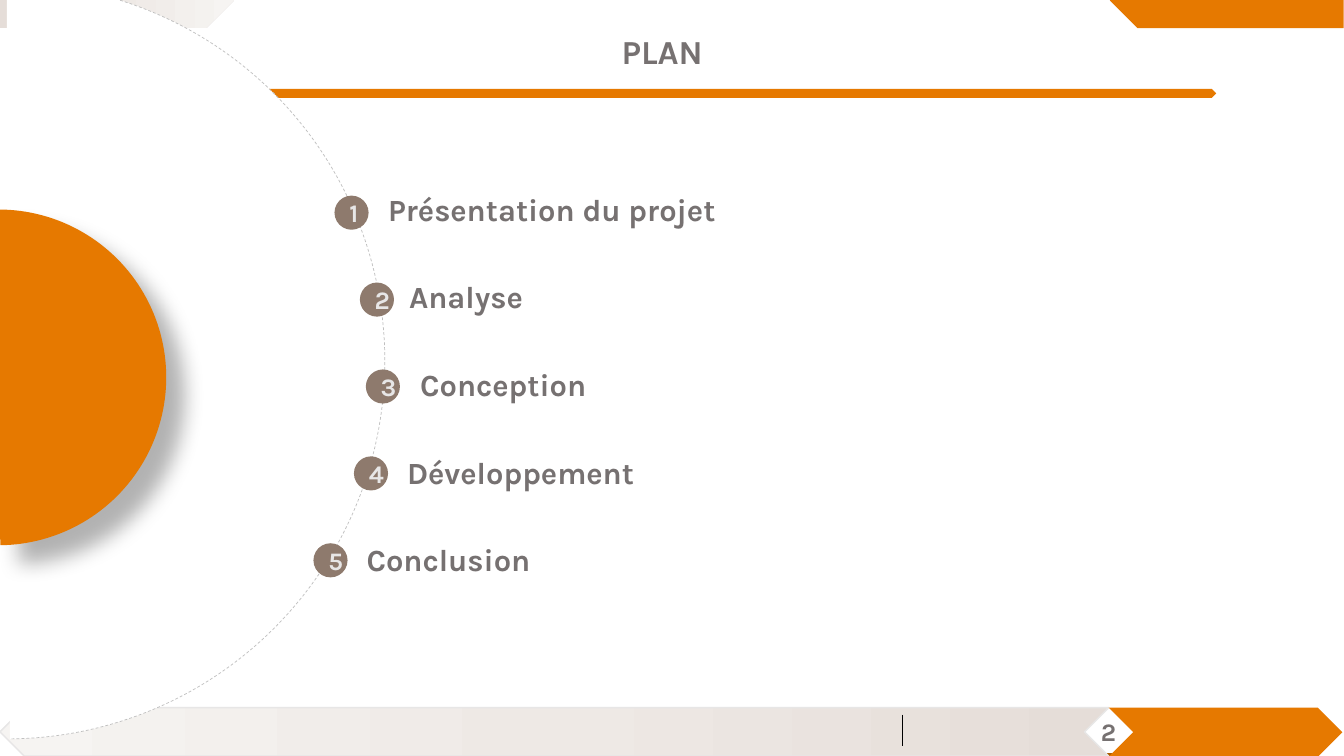
from copy import deepcopy

from lxml.etree import SubElement
from pptx import Presentation
from pptx.dml.color import RGBColor
from pptx.enum.dml import MSO_LINE
from pptx.enum.shapes import MSO_CONNECTOR, MSO_SHAPE
from pptx.enum.text import MSO_ANCHOR, MSO_AUTO_SIZE, PP_ALIGN
from pptx.oxml.ns import qn
from pptx.util import Cm, Pt

WHITE = RGBColor(0xFF, 0xFF, 0xFF)
BLACK = RGBColor(0x00, 0x00, 0x00)
ORANGE = RGBColor(0xE6, 0x79, 0x00)
BROWN = RGBColor(0xAC, 0x5B, 0x00)
TAUPE = RGBColor(0x8E, 0x7A, 0x6D)
GREY = RGBColor(0x76, 0x71, 0x71)
PALE = RGBColor(0xE7, 0xE6, 0xE6)
DASH_GREY = RGBColor(0xBF, 0xBF, 0xBF)
SAND = [RGBColor(0xE5, 0xDD, 0xD8), RGBColor(0xEE, 0xE9, 0xE5), RGBColor(0xF6, 0xF4, 0xF2)]
ROSE = [RGBColor(0xDB, 0xA5, 0x92), RGBColor(0xE7, 0xC8, 0xBE), RGBColor(0xF2, 0xE4, 0xDF)]


def add_shape(kind, place, fill, line=None, width=1, rotation=0, angle=0):
    shape = page.shapes.add_shape(kind, *[Cm(length) for length in place])
    shape.shadow.inherit = False
    shape.rotation = rotation
    if isinstance(fill, list):
        shape.fill.gradient()
        shape.fill.gradient_angle = angle
        first = shape.fill._fill._gradFill.gsLst[0]
        first.addnext(deepcopy(first))
        for stop, color, position in zip(shape.fill.gradient_stops, fill, (0, 0.5, 1)):
            stop.color.rgb = color
            stop.position = position
    else:
        shape.fill.solid()
        shape.fill.fore_color.rgb = fill
    if line is None:
        shape.line.fill.background()
    else:
        shape.line.color.rgb = line
        shape.line.width = Pt(width)
    return shape


def write(box, text, size, color, align, frame_format):
    for name, value in {"word_wrap": True, **frame_format}.items():
        setattr(box.text_frame, name, value)
    para = box.text_frame.paragraphs[0]
    para.alignment = align
    span = para.add_run()
    span.text = text
    for name, value in {"name": "Karla", "size": Pt(size), "bold": True}.items():
        setattr(span.font, name, value)
    span.font.color.rgb = color


GROWING = {"auto_size": MSO_AUTO_SIZE.SHAPE_TO_FIT_TEXT, "vertical_anchor": MSO_ANCHOR.TOP}
CENTRED = {"vertical_anchor": MSO_ANCHOR.MIDDLE}

deck = Presentation()
deck.slide_width = Cm(33.87)
deck.slide_height = Cm(19.05)
page = deck.slides.add_slide(deck.slide_layouts[6])

add_shape(MSO_SHAPE.RECTANGLE, (4.24, 0, 25.4, 4.37), WHITE, WHITE)
add_shape(MSO_SHAPE.PENTAGON, (0, -0.69, 5.89, 1.4), SAND)
add_shape(MSO_SHAPE.CHEVRON, (18.54, 18.06, 13.79, 0.99), BROWN, rotation=180)
add_shape(MSO_SHAPE.CHEVRON, (3.48, 18.06, 12.04, 0.99), ROSE, angle=180)
add_shape(MSO_SHAPE.PENTAGON, (3.73, 2.24, 26.92, 0.23), ORANGE)

page_number = add_shape(MSO_SHAPE.RECTANGLE, (27.18, 17.93, 1.35, 1.02), WHITE, WHITE, 0.5)
write(page_number, " 2", 18, GREY, PP_ALIGN.CENTER, GROWING)

add_shape(MSO_SHAPE.CHEVRON, (0, 17.83, 27.94, 1.22), SAND, PALE, rotation=180)
add_shape(MSO_SHAPE.CHEVRON, (27.94, 17.83, 5.89, 1.24), ORANGE)

divider = page.shapes.add_connector(
    MSO_CONNECTOR.STRAIGHT, Cm(22.73), Cm(18.01), Cm(22.73), Cm(18.8))
divider.line.color.rgb = BLACK
divider.line.width = Pt(0.5)
SubElement(divider._element.spPr, qn("a:effectLst"))

title = page.shapes.add_textbox(Cm(12.32), Cm(0.66), Cm(8.74), Cm(1.27))
write(title, "PLAN", 24, GREY, PP_ALIGN.CENTER, GROWING)
add_shape(MSO_SHAPE.PENTAGON, (27.97, -0.69, 5.89, 1.4), ORANGE, rotation=180)

ring = add_shape(MSO_SHAPE.ARC, (-9.35, -0.43, 19.05, 19.05), WHITE, DASH_GREY, 0.5)
ring.line.dash_style = MSO_LINE.DASH
disc = add_shape(MSO_SHAPE.ARC, (-4.27, 5.28, 8.46, 8.46), ORANGE)
for arc, end in ((ring, 53.71), (disc, 53.6)):
    arc.adjustments[0] = 162
    arc.adjustments[1] = end

effects = disc._element.spPr.find(qn("a:effectLst"))
shadow = SubElement(effects, qn("a:outerShdw"), blurRad=str(Pt(15)), dist=str(Pt(18)),
                    dir="2700000", algn="tl", rotWithShape="0")
shade = SubElement(shadow, qn("a:srgbClr"), val=str(BLACK))
SubElement(shade, qn("a:alpha"), val="30000")

chapters = [
    ("Présentation du projet", 8.43, 9.53, 16.13),
    ("Analyse", 9.07, 10.06, 16.13),
    ("Conception", 9.22, 10.34, 13.44),
    ("Développement", 8.92, 10.01, 20.52),
    ("Conclusion", 7.9, 8.99, 18.11),
]
for index, (chapter, dot_left, label_left, label_width) in enumerate(chapters):
    dot = add_shape(MSO_SHAPE.OVAL, (dot_left, 4.93 + 2.19 * index, 0.86, 0.86), TAUPE)
    write(dot, str(index + 1), 18, PALE, PP_ALIGN.CENTER, CENTRED)
    label = page.shapes.add_textbox(
        Cm(label_left), Cm(4.67 + 2.21 * index), Cm(label_width), Cm(1.19))
    write(label, chapter, 22, GREY, PP_ALIGN.LEFT, GROWING)

deck.save("out.pptx")
